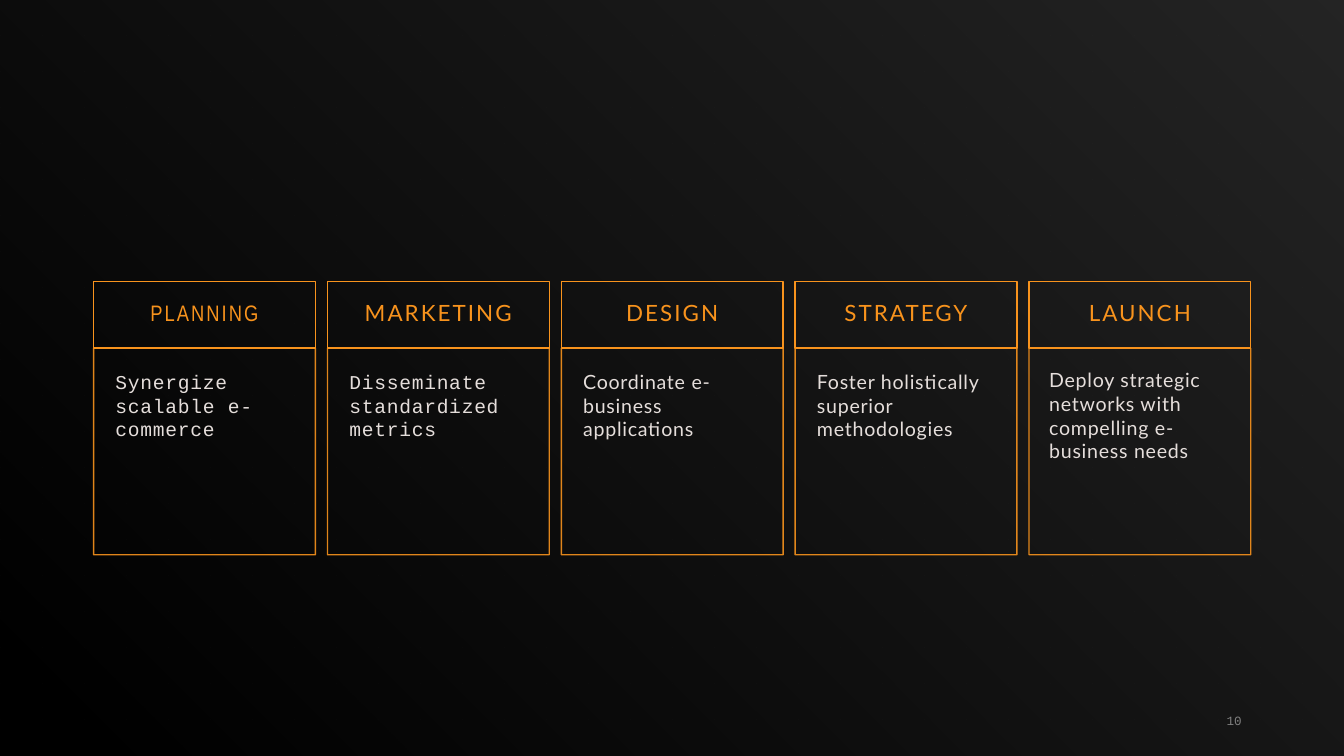
from lxml.etree import SubElement
from pptx import Presentation
from pptx.dml.color import RGBColor
from pptx.enum.shapes import MSO_SHAPE
from pptx.enum.text import MSO_ANCHOR, PP_ALIGN
from pptx.oxml.ns import qn
from pptx.util import Pt

COLORS = {
    "background": "000000",
    "glow": "FFFFFF",
    "accent": "F8931D",
    "body": "E5DEDB",
    "number": "808080",
}
SLIDE_WIDTH, SLIDE_HEIGHT = 960, 540
CARD_LEFT, CARD_TOP, CARD_STEP, CARD_WIDTH = 66.9, 200.9, 167.04, 158.4
HEADING_HEIGHT, DETAIL_HEIGHT = 47.8, 147.6

# heading, heading font, space before heading, detail, detail font, detail inset
STAGES = [
    ("PLANNING", "Arial Narrow", 10, "Synergize scalable e-commerce", "Courier New", 15.6),
    ("MARKETING", "Lato", 0, "Disseminate standardized metrics", "Courier New", 15.6),
    ("DESIGN", "Lato", 0, "Coordinate e-business applications", "Lato", 15.6),
    ("STRATEGY", "Lato", 0, "Foster holistically superior methodologies", "Lato", 15.6),
    ("LAUNCH", "Lato", 0, "Deploy strategic networks with compelling e-business needs",
     "Lato", 14.4),
]


def rgb(name):
    return RGBColor.from_string(COLORS[name])


def set_all(target, values):
    for name, value in values.items():
        setattr(target, name, value)


def set_alpha(parent, percent):
    """Make every RGB colour below parent partly transparent."""
    for color in parent.iter(qn("a:srgbClr")):
        SubElement(color, qn("a:alpha"), val=str(percent * 1000))


def write(shape, text, color, font, paragraph=None, frame=None, inset=None, spacing=0):
    text_frame = shape.text_frame
    set_all(text_frame, {"word_wrap": True, **(frame or {})})
    if inset is not None:
        sides = ("left", "top", "right", "bottom")
        set_all(text_frame, {f"margin_{side}": Pt(inset) for side in sides})
    line = text_frame.paragraphs[0]
    set_all(line, paragraph or {})
    run = line.add_run()
    run.text = text
    set_all(run.font, font)
    run.font.color.rgb = rgb(color)
    if spacing:
        run._r.get_or_add_rPr().set("spc", str(int(spacing * 100)))


def add_rectangle(slide, left, top, width, height):
    rectangle = slide.shapes.add_shape(
        MSO_SHAPE.RECTANGLE, Pt(left), Pt(top), Pt(width), Pt(height))
    rectangle.shadow.inherit = False
    return rectangle


def add_frame(slide, left, top, height, opacity=100):
    frame = add_rectangle(slide, left, top, CARD_WIDTH, height)
    frame.fill.background()
    frame.line.color.rgb = rgb("accent")
    frame.line.width = Pt(1)
    if opacity < 100:
        set_alpha(frame.line._ln, opacity)
    return frame


def add_background(slide):
    """Black ground with a faint light towards the top right corner."""
    slide.background.fill.solid()
    slide.background.fill.fore_color.rgb = rgb("background")
    glow = add_rectangle(slide, 0, 0, SLIDE_WIDTH, SLIDE_HEIGHT)
    glow.line.fill.background()
    glow.fill.gradient()
    glow.fill.gradient_angle = 45
    for stop, position, opacity in zip(glow.fill.gradient_stops, (0, 1), (0, 15)):
        stop.position = position
        stop.color.rgb = rgb("glow")
        set_alpha(stop._gs, opacity)


def add_stage(slide, left, stage):
    heading, heading_font, space_before, detail, detail_font, detail_inset = stage
    heading_box = add_frame(slide, left, CARD_TOP, HEADING_HEIGHT)
    write(heading_box, heading, "accent",
          font={"name": heading_font, "size": Pt(16)},
          paragraph={"alignment": PP_ALIGN.CENTER, "line_spacing": 0.9,
                     "space_before": Pt(space_before)},
          frame={"vertical_anchor": MSO_ANCHOR.MIDDLE}, inset=12, spacing=1.5)
    detail_box = add_frame(slide, left, CARD_TOP + HEADING_HEIGHT, DETAIL_HEIGHT, opacity=90)
    write(detail_box, detail, "body",
          font={"name": detail_font, "size": Pt(14)},
          paragraph={"alignment": PP_ALIGN.LEFT},
          frame={"vertical_anchor": MSO_ANCHOR.TOP}, inset=detail_inset, spacing=0.5)


def add_page_number(slide, number):
    box = slide.shapes.add_textbox(Pt(678), Pt(500.6), Pt(216), Pt(28.8))
    write(box, number, "number",
          font={"name": "Courier New", "size": Pt(9)},
          paragraph={"alignment": PP_ALIGN.RIGHT},
          frame={"vertical_anchor": MSO_ANCHOR.MIDDLE})


def main():
    presentation = Presentation()
    set_all(presentation, {"slide_width": Pt(SLIDE_WIDTH), "slide_height": Pt(SLIDE_HEIGHT)})
    slide = presentation.slides.add_slide(presentation.slide_layouts[6])
    add_background(slide)
    for index, stage in enumerate(STAGES):
        add_stage(slide, CARD_LEFT + index * CARD_STEP, stage)
    add_page_number(slide, "10")
    presentation.save("out.pptx")


if __name__ == "__main__":
    main()
